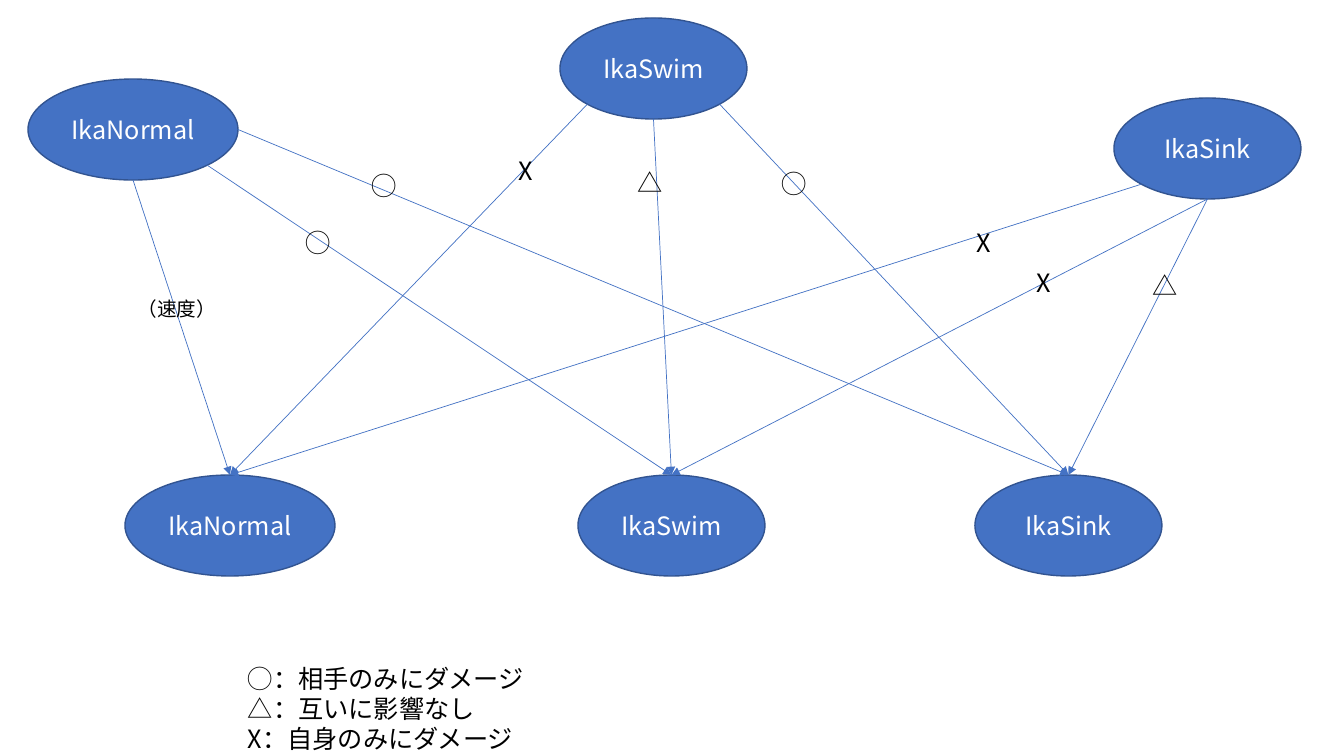
import math
import pptx
import pptx.util
import pptx.dml.color
import pptx.enum.shapes
import pptx.enum.text
import pptx.oxml
import pptx.oxml.ns
from lxml import etree

FACE = "Noto Sans CJK JP"
RGB = pptx.dml.color.RGBColor
BLUE = RGB(0x44, 0x72, 0xC4)
EDGE = RGB(0x32, 0x54, 0x91)
WHITE = RGB(0xFF, 0xFF, 0xFF)
BLACK = RGB(0, 0, 0)
UNIT = 914400 / 100.8
TALL = 101
LOW = 475

HEADS = [
    ("IkaNormal", 28, 79, 210),
    ("IkaSwim", 560, 18, 187),
    ("IkaSink", 1114, 98, 187),
]
FEET = [
    ("IkaNormal", 125, LOW, 210),
    ("IkaSwim", 578, LOW, 187),
    ("IkaSink", 975, LOW, 187),
]
# SITES
SITES = [(4, 5, 6), (3, 4, 5), (3, 4, 4)]
MARKS = [
    ("◯", 296, 222), ("◯", 362, 165), ("X", 509, 150),
    ("△", 628, 162), ("◯", 772, 163), ("X", 967, 222),
    ("X", 1027, 262), ("△", 1143, 265),
]
WIDE = {"◯": 45, "△": 45, "X": 36}
KEY = ["◯：相手のみにダメージ", "△：互いに影響なし", "X：自身のみにダメージ"]


def px(*vals):
    return [pptx.util.Emu(round(val * UNIT)) for val in vals]


def write(shape, lines, size, color, align):
    frame = shape.text_frame
    frame.text = "\n".join(lines)
    for para in frame.paragraphs:
        para.alignment = align
        para.font.name = FACE
        para.font.size = pptx.util.Pt(size)
        para.font.color.rgb = color
    for props in shape.element.iter(pptx.oxml.ns.qn("a:defRPr")):
        latin = props.find(pptx.oxml.ns.qn("a:latin"))
        east = etree.Element(pptx.oxml.ns.qn("a:ea"), typeface=FACE)
        latin.addnext(east)
    return frame


def oval(text, x, y, wide):
    kind = pptx.enum.shapes.MSO_SHAPE.OVAL
    shape = slide.shapes.add_shape(kind, *px(x, y, wide, TALL))
    shape.shadow.inherit = False
    shape.fill.solid()
    shape.fill.fore_color.rgb = BLUE
    shape.line.color.rgb = EDGE
    shape.line.width = pptx.util.Pt(1)
    frame = write(shape, [text], 18, WHITE, ALIGN.CENTER)
    frame.vertical_anchor = pptx.enum.text.MSO_ANCHOR.MIDDLE
    return shape


def point(shape, site):
    turn = math.radians(90 + 45 * site)
    x = shape.left + shape.width / 2 * (1 + math.cos(turn))
    y = shape.top + shape.height / 2 * (1 - math.sin(turn))
    return round(x), round(y)


def arrow(head, site, foot):
    kind = pptx.enum.shapes.MSO_CONNECTOR.STRAIGHT
    link = slide.shapes.add_connector(kind, *point(head, site), *point(foot, 0))
    link.line.color.rgb = BLUE
    link.line.width = pptx.util.Pt(0.5)
    props = link.element.spPr
    line = props.find(pptx.oxml.ns.qn("a:ln"))
    etree.SubElement(line, pptx.oxml.ns.qn("a:tailEnd"), type="triangle")
    etree.SubElement(props, pptx.oxml.ns.qn("a:effectLst"))
    glue = next(link.element.iter(pptx.oxml.ns.qn("p:cNvCxnSpPr")))
    for tag, shape, idx in (("a:stCxn", head, site), ("a:endCxn", foot, 0)):
        etree.SubElement(glue, pptx.oxml.ns.qn(tag),
                         id=str(shape.shape_id), idx=str(idx))


def label(lines, x, y, wide, tall, size=18, align=None, wrap=False):
    box = slide.shapes.add_textbox(*px(x, y, wide, tall))
    frame = write(box, lines, size, BLACK, align)
    frame.word_wrap = wrap
    frame.auto_size = pptx.enum.text.MSO_AUTO_SIZE.SHAPE_TO_FIT_TEXT


ALIGN = pptx.enum.text.PP_ALIGN
deck = pptx.Presentation()
deck.slide_width, deck.slide_height = px(1344, 756)
slide = deck.slides.add_slide(deck.slide_layouts[6])

heads = [oval(*item) for item in HEADS]
feet = [oval(*item) for item in FEET]
for head, sites in zip(heads, SITES):
    for site, foot in zip(sites, feet):
        arrow(head, site, foot)

label(["（速度）"], 28, 292, 298, 34, 14, ALIGN.CENTER, True)
for text, x, y in MARKS:
    label([text], x, y, WIDE[text], 40)
label(KEY, 238, 658, 300, 102)

deck.save("out.pptx")
